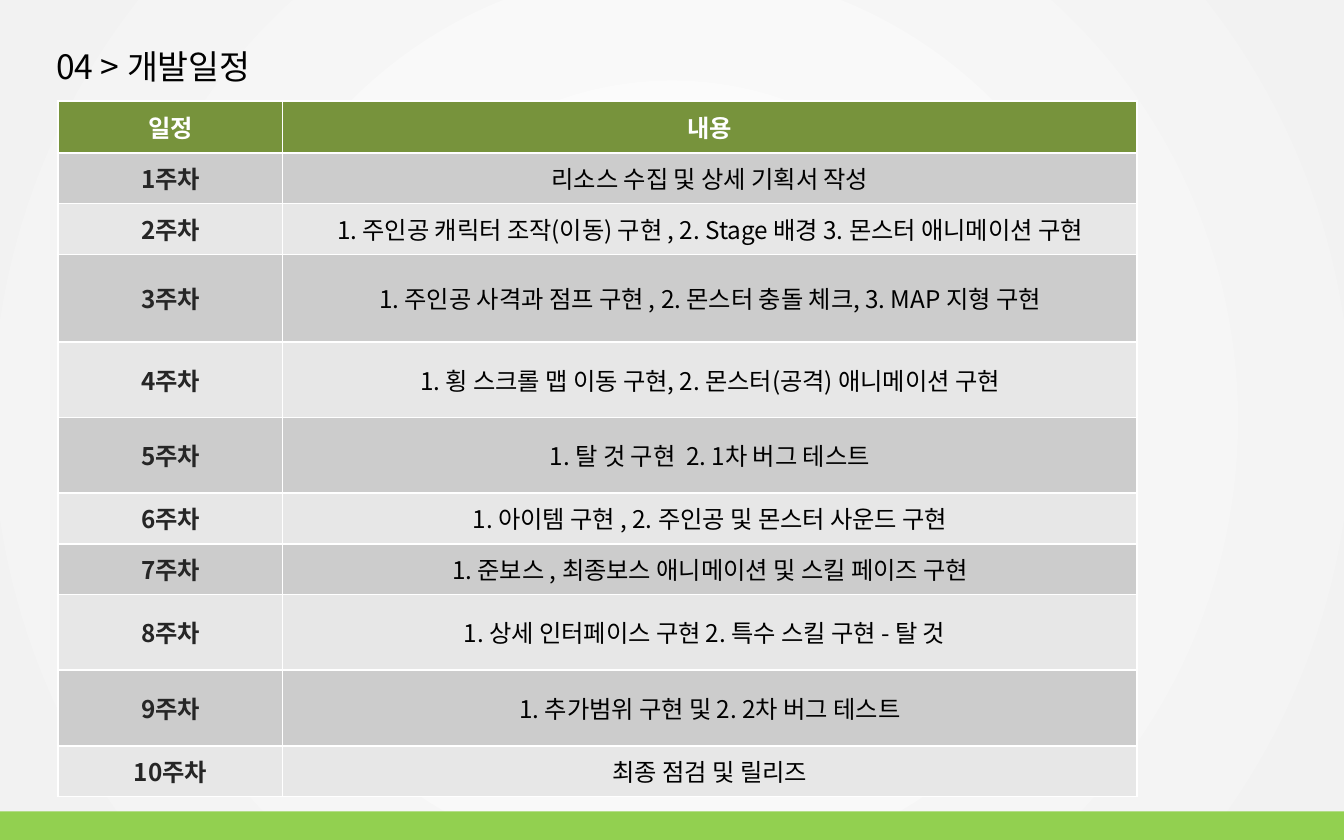
"""Build the weekly development schedule slide."""
from lxml.etree import SubElement
from pptx import Presentation
from pptx.dml.color import RGBColor as RGB
from pptx.enum.shapes import MSO_SHAPE as Shape
from pptx.enum.text import MSO_ANCHOR as Anchor, MSO_AUTO_SIZE as Fit, PP_ALIGN as Align
from pptx.oxml.ns import qn
from pptx.util import Cm, Pt

WHITE = RGB(0xFF, 0xFF, 0xFF)
BLACK = RGB(0, 0, 0)
PALE = RGB(0xF2, 0xF2, 0xF2)
LIME = RGB(0x92, 0xD0, 0x50)
OLIVE = RGB(0x77, 0x93, 0x3C)
DARK = RGB(0x26, 0x26, 0x26)
BANDS = [RGB(0xE7, 0xE7, 0xE7), RGB(0xCC, 0xCC, 0xCC)]
FONT = "Noto Sans CJK KR"

TASKS = [
    ("리소스 수집 및 상세 기획서 작성", 0.96),
    ("1. 주인공 캐릭터 조작(이동) 구현 , 2. Stage 배경 3. 몬스터 애니메이션 구현", 0.96),
    ("1. 주인공 사격과 점프 구현 , 2. 몬스터 충돌 체크, 3. MAP 지형 구현", 1.65),
    ("1. 횡 스크롤 맵 이동 구현, 2. 몬스터(공격) 애니메이션 구현", 1.43),
    ("1. 탈 것 구현  2. 1차 버그 테스트", 1.43),
    ("1. 아이템 구현 , 2. 주인공 및 몬스터 사운드 구현", 0.96),
    ("1. 준보스 , 최종보스 애니메이션 및 스킬 페이즈 구현", 0.96),
    ("1. 상세 인터페이스 구현 2. 특수 스킬 구현 - 탈 것  ", 1.43),
    ("1. 추가범위 구현 및 2. 2차 버그 테스트", 1.43),
    ("최종 점검 및 릴리즈", 0.96),
]


def style(para, size, color, bold=False):
    for run in para.runs:
        run.font.size = Pt(size)
        run.font.bold = bold
        run.font.color.rgb = color
        run.font.name = FONT
        SubElement(run.font._element, qn("a:ea"), typeface=FONT)


deck = Presentation()
deck.slide_width, deck.slide_height = Cm(25.4), Cm(15.88)
slide = deck.slides.add_slide(deck.slide_layouts[6])

back = slide.background.fill
back.gradient()
for stop, color in zip(back.gradient_stops, (WHITE, PALE)):
    stop.color.rgb = color
line = slide.element.find(".//" + qn("a:lin"))
grad = line.getparent()
grad.remove(line)
focus = SubElement(grad, qn("a:path"), path="circle")
SubElement(focus, qn("a:fillToRect"), l="50000", t="50000", r="50000", b="50000")

title = slide.shapes.add_textbox(Cm(0.81), Cm(0.74), Cm(4.67), Cm(1.02)).text_frame
title.word_wrap = False
title.auto_size = Fit.SHAPE_TO_FIT_TEXT
title.text = "04 > 개발일정"
style(title.paragraphs[0], 18, BLACK)

strip = slide.shapes.add_shape(Shape.RECTANGLE, 0, Cm(15.34), Cm(25.4), Cm(0.54))
strip.shadow.inherit = False
strip.fill.solid()
strip.fill.fore_color.rgb = LIME
strip.line.fill.background()

rows = [("일정", "내용", 0.98)]
rows += [(f"{week}주차", task, high) for week, (task, high) in enumerate(TASKS, 1)]
total = sum(row[2] for row in rows)
table = slide.shapes.add_table(len(rows), 2, Cm(1.1), Cm(1.91), Cm(20.4), Cm(total)).table
table.columns[0].width, table.columns[1].width = Cm(4.24), Cm(16.15)

for r, (*texts, high) in enumerate(rows):
    table.rows[r].height = Cm(high)
    for c, text in enumerate(texts):
        cell = table.cell(r, c)
        cell.fill.solid()
        cell.fill.fore_color.rgb = BANDS[r % 2] if r else OLIVE
        cell.vertical_anchor = Anchor.MIDDLE
        cell.text_frame.text = text
        para = cell.text_frame.paragraphs[0]
        para.alignment = Align.CENTER
        ink = (DARK, BLACK)[c] if r else WHITE
        style(para, 13, ink, r == 0 or c == 0)

deck.save("out.pptx")
